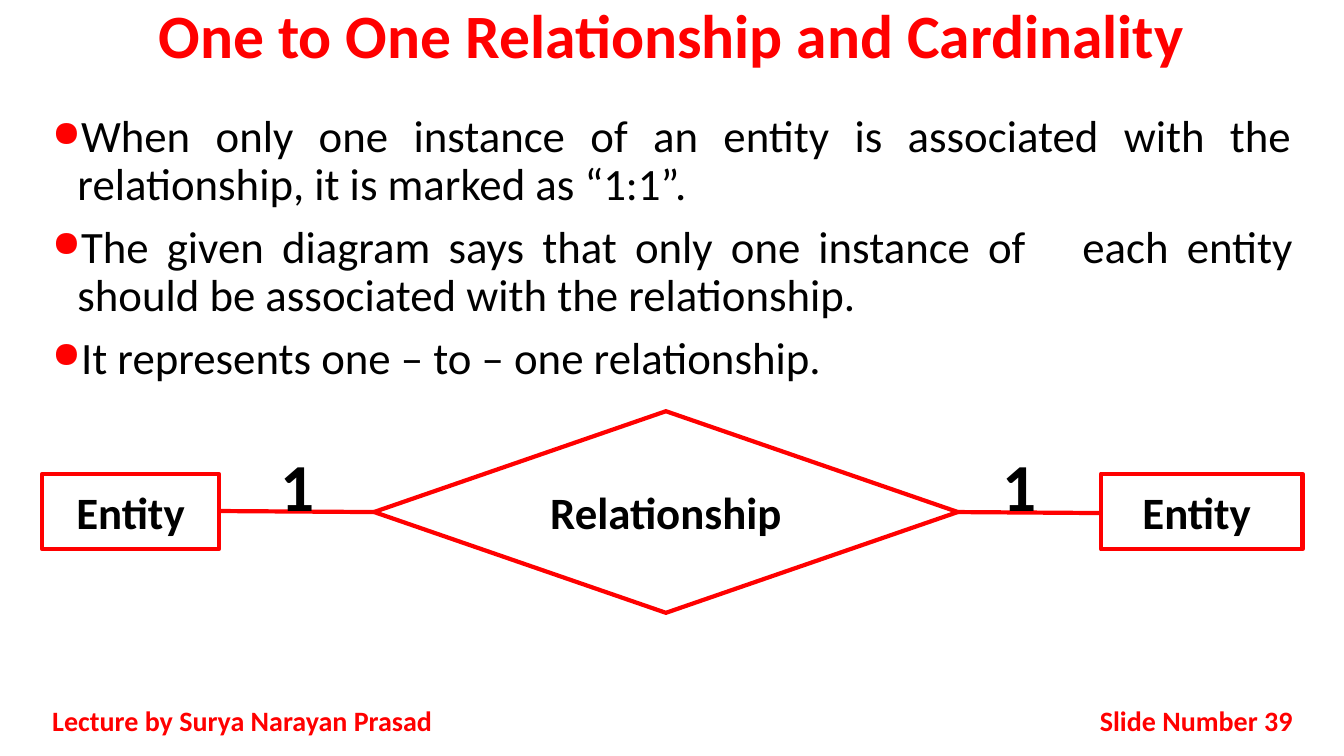
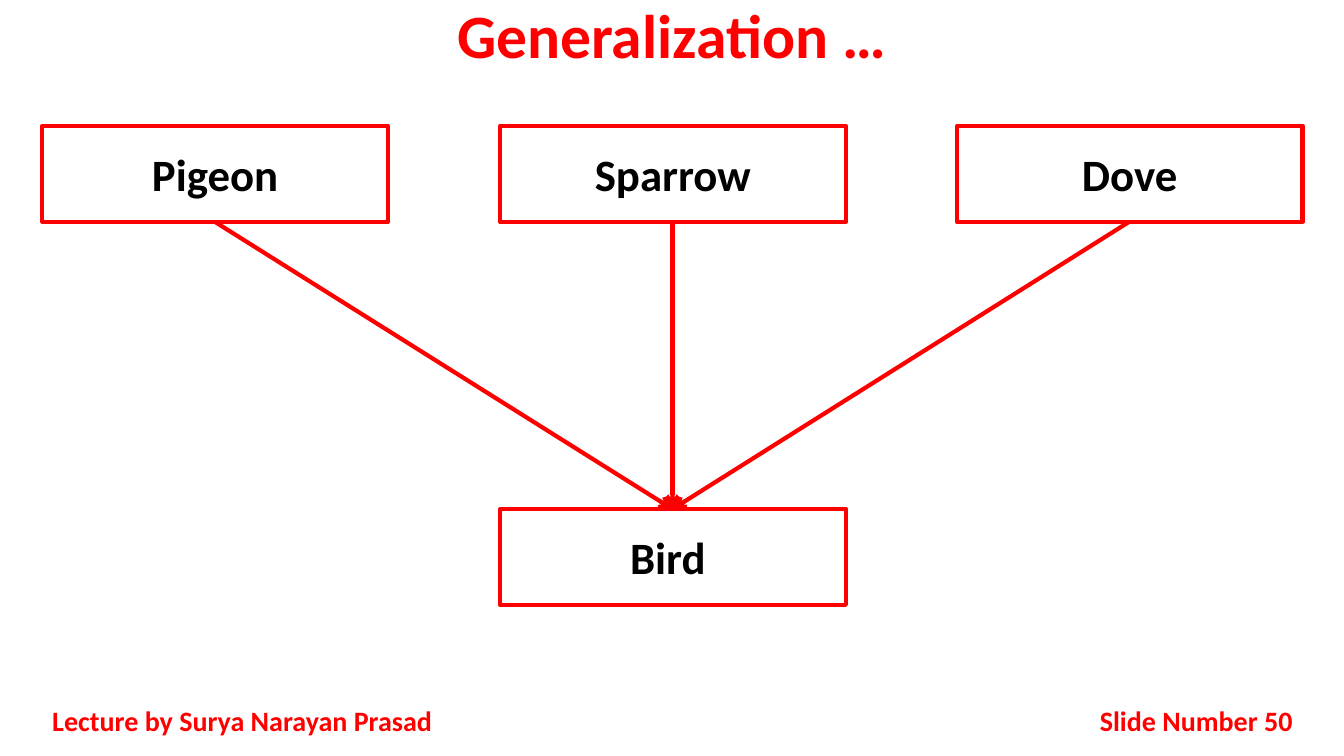
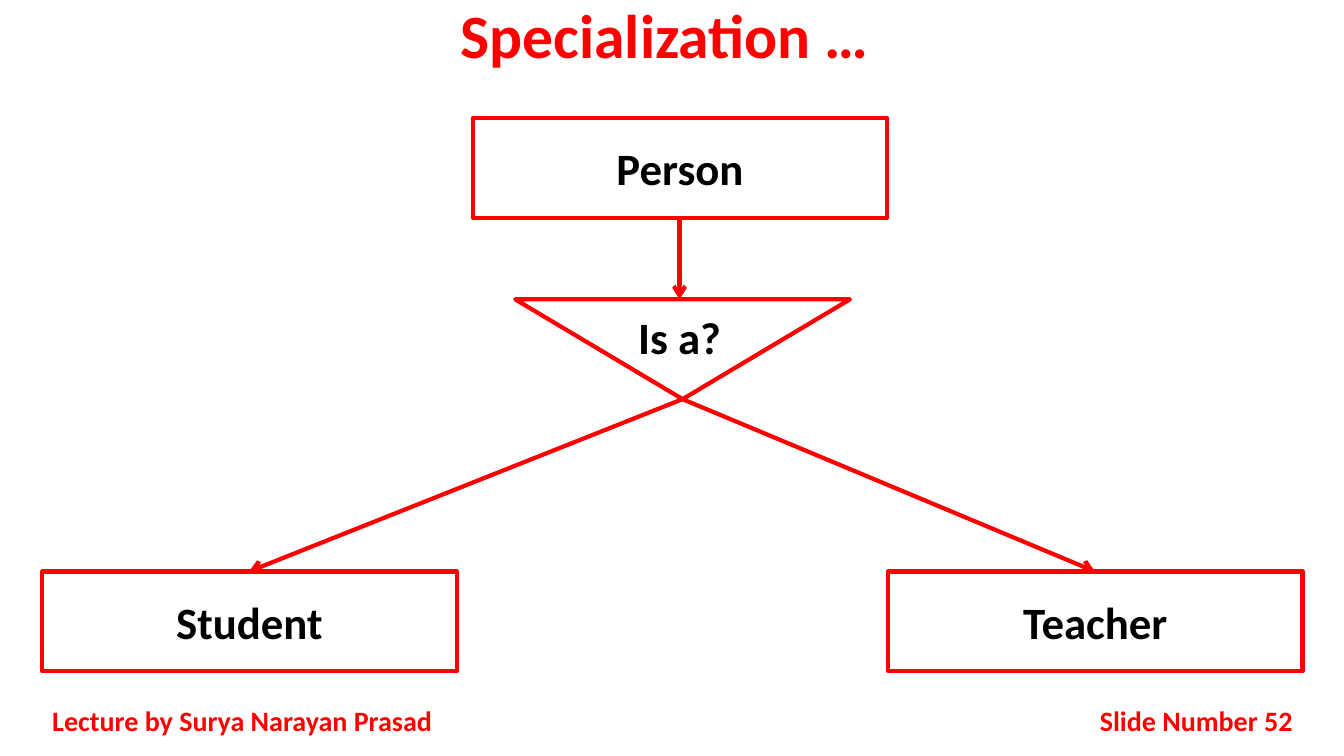
from dataclasses import dataclass
from typing import Any, NamedTuple

from pptx import Presentation
from pptx.dml.color import RGBColor
from pptx.enum.shapes import MSO_CONNECTOR as Connector, MSO_SHAPE as Preset
from pptx.enum.text import MSO_ANCHOR as Anchor, PP_ALIGN as Align
from pptx.oxml.xmlchemy import OxmlElement
from pptx.slide import Slide
from pptx.text.text import TextFrame
from pptx.util import Pt

EMU_PER_PX = 9144
SLIDE_W, SLIDE_H = 1333, 750
MARGIN = 42
CONTENT_W = 1250
FOOTER_TOP, FOOTER_H = 695, 40
LECTURER = "Lecture by Surya Narayan Prasad"


@dataclass(frozen=True)
class Theme:
    accent: RGBColor = RGBColor(0xFF, 0x00, 0x00)
    ink: RGBColor = RGBColor(0x00, 0x00, 0x00)
    font: str = "Calibri"
    title_size: int = 44
    cardinality_size: int = 48
    body_size: int = 32
    footer_size: int = 20
    line_width: int = 3
    tight_spacing: float = 0.9
    bullet_gap: int = 10
    bullet_indent: int = 25


THEME = Theme()


class Point(NamedTuple):
    x: int
    y: int


class Box(NamedTuple):
    left: int
    top: int
    width: int
    height: int

    @property
    def mid_top(self) -> Point:
        return Point(self.left + self.width // 2, self.top)

    @property
    def mid_bottom(self) -> Point:
        return Point(self.left + self.width // 2, self.top + self.height)

    @property
    def mid_left(self) -> Point:
        return Point(self.left, self.top + self.height // 2)

    @property
    def mid_right(self) -> Point:
        return Point(self.left + self.width, self.top + self.height // 2)


@dataclass(frozen=True)
class TextStyle:
    size: int
    color: RGBColor = THEME.ink
    bold: bool = True
    align: Align = Align.CENTER
    anchor: Anchor = Anchor.TOP
    line_spacing: float | None = None
    bulleted: bool = False


@dataclass(frozen=True)
class Node:
    box: Box
    label: str = ""
    preset: Preset = Preset.RECTANGLE
    rotation: int = 0


@dataclass(frozen=True)
class Link:
    start: Point
    end: Point
    arrow: bool = True


TITLE = TextStyle(THEME.title_size, THEME.accent, line_spacing=THEME.tight_spacing)
BODY = TextStyle(THEME.body_size, bold=False, align=Align.JUSTIFY,
                 line_spacing=THEME.tight_spacing, bulleted=True)
LECTURER_STYLE = TextStyle(THEME.footer_size, THEME.accent,
                           align=Align.JUSTIFY, anchor=Anchor.MIDDLE)
NUMBER_STYLE = TextStyle(THEME.footer_size, THEME.accent,
                         align=Align.RIGHT, anchor=Anchor.MIDDLE)
NODE_LABEL = TextStyle(THEME.body_size, anchor=Anchor.MIDDLE)
FREE_LABEL = TextStyle(THEME.body_size)
CARDINALITY = TextStyle(THEME.cardinality_size)


def emu(*lengths: int) -> list[int]:
    return [length * EMU_PER_PX for length in lengths]


def assign(target: Any, values: dict[str, Any]) -> None:
    for name, value in values.items():
        setattr(target, name, value)


def add_xml(parent: Any, tag: str, **attributes: Any) -> Any:
    child = OxmlElement(tag)
    for name, value in attributes.items():
        child.set(name, str(value))
    parent.append(child)
    return child


def add_bullet(paragraph: Any) -> None:
    """Give the paragraph a red round bullet with a hanging indent."""
    paragraph.space_before = Pt(THEME.bullet_gap)
    properties = paragraph._p.get_or_add_pPr()
    indent = THEME.bullet_indent * EMU_PER_PX
    properties.set("marL", str(indent))
    properties.set("indent", str(-indent))
    bullet_color = add_xml(properties, "a:buClr")
    add_xml(bullet_color, "a:srgbClr", val=THEME.accent)
    add_xml(properties, "a:buSzPct", val=81000)
    add_xml(properties, "a:buChar", char="●")


def write(frame: TextFrame, lines: list[str], style: TextStyle) -> None:
    assign(frame, {"word_wrap": True, "vertical_anchor": style.anchor})
    for index, line in enumerate(lines):
        paragraph = frame.add_paragraph() if index else frame.paragraphs[0]
        assign(paragraph, {"alignment": style.align, "line_spacing": style.line_spacing})
        if style.bulleted:
            add_bullet(paragraph)
        run = paragraph.add_run()
        run.text = line
        assign(run.font, {"name": THEME.font, "size": Pt(style.size), "bold": style.bold})
        run.font.color.rgb = style.color


def add_text(slide: Slide, box: Box, style: TextStyle, *lines: str) -> None:
    write(slide.shapes.add_textbox(*emu(*box)).text_frame, list(lines), style)


def draw_line(line: Any) -> None:
    line.color.rgb = THEME.accent
    line.width = Pt(THEME.line_width)


def add_node(slide: Slide, node: Node) -> None:
    shape = slide.shapes.add_shape(node.preset, *emu(*node.box))
    shape.rotation = node.rotation
    shape.shadow.inherit = False
    shape.fill.background()
    draw_line(shape.line)
    if node.label:
        write(shape.text_frame, [node.label], NODE_LABEL)


def add_link(slide: Slide, link: Link) -> None:
    connector = slide.shapes.add_connector(
        Connector.STRAIGHT, *emu(*link.start, *link.end))
    draw_line(connector.line)
    if link.arrow:
        add_xml(connector.line._get_or_add_ln(), "a:tailEnd", type="arrow")
    add_xml(connector._element.spPr, "a:effectLst")


def add_diagram(slide: Slide, nodes: list[Node], links: list[Link]) -> None:
    for node in nodes:
        add_node(slide, node)
    for link in links:
        add_link(slide, link)


def add_lecture_slide(deck: Any, title: str, number: int) -> Slide:
    """Add a blank slide with the shared title and footer."""
    slide = deck.slides.add_slide(deck.slide_layouts[6])
    add_text(slide, Box(0, 0, SLIDE_W, 83), TITLE, title)
    add_text(slide, Box(MARGIN, FOOTER_TOP, 417, FOOTER_H), LECTURER_STYLE, LECTURER)
    number_w = 275
    number_box = Box(MARGIN + CONTENT_W - number_w, FOOTER_TOP, number_w, FOOTER_H)
    add_text(slide, number_box, NUMBER_STYLE, f"Slide Number {number}")
    return slide


def build_one_to_one(deck: Any) -> None:
    slide = add_lecture_slide(deck, "One to One Relationship and Cardinality", 39)
    add_text(
        slide, Box(MARGIN, 108, CONTENT_W, 558), BODY,
        "When only one instance of an entity is associated with the relationship, "
        "it is marked as “1:1”. ",
        "The given diagram says that only one instance of \teach entity should be "
        "associated with the relationship. ",
        "It represents one – to – one relationship.",
    )
    left_entity = Node(Box(MARGIN, 470, 175, 75), "Entity")
    right_entity = Node(Box(1092, 470, 200, 75), "Entity ")
    relationship = Node(Box(371, 408, 579, 200), "Relationship", Preset.FLOWCHART_DECISION)
    add_diagram(slide, [left_entity, right_entity, relationship], [
        Link(left_entity.box.mid_right, relationship.box.mid_left, arrow=False),
        Link(relationship.box.mid_right, Point(right_entity.box.left, 509), arrow=False),
    ])
    for left in (224, 940):
        add_text(slide, Box(left, 436, 143, 91), CARDINALITY, "1")


def build_generalization(deck: Any) -> None:
    slide = add_lecture_slide(deck, "Generalization …", 50)
    width, height = 343, 95
    kinds = ["Pigeon", "Sparrow", "Dove"]
    step = (CONTENT_W - width) / (len(kinds) - 1)
    species = [Node(Box(MARGIN + round(i * step), 125, width, height), kind)
               for i, kind in enumerate(kinds)]
    bird = Node(Box(species[1].box.left, 505, width, height), "Bird ")
    add_diagram(slide, [bird, *species],
                [Link(node.box.mid_bottom, bird.box.mid_top) for node in species])


def build_specialization(deck: Any) -> None:
    slide = add_lecture_slide(deck, "Specialization … ", 52)
    width, height = 411, 99
    person = Node(Box(469, 117, width, height), "Person")
    student = Node(Box(MARGIN, 567, width, height), "Student")
    teacher = Node(Box(MARGIN + CONTENT_W - width, 567, width, height), "Teacher")
    is_a = Node(Box(511, 297, 332, height), preset=Preset.ISOSCELES_TRIANGLE, rotation=180)
    person_exit = person.box.mid_bottom
    add_diagram(slide, [person, student, teacher, is_a], [
        Link(person_exit, Point(person_exit.x, is_a.box.top)),
        *(Link(is_a.box.mid_bottom, role.box.mid_top) for role in (student, teacher)),
    ])
    add_text(slide, Box(595, 302, 158, 64), FREE_LABEL, "Is a?")


def main() -> None:
    deck = Presentation()
    deck.slide_width, deck.slide_height = emu(SLIDE_W, SLIDE_H)
    for build in (build_one_to_one, build_generalization, build_specialization):
        build(deck)
    deck.save("out.pptx")


if __name__ == "__main__":
    main()
